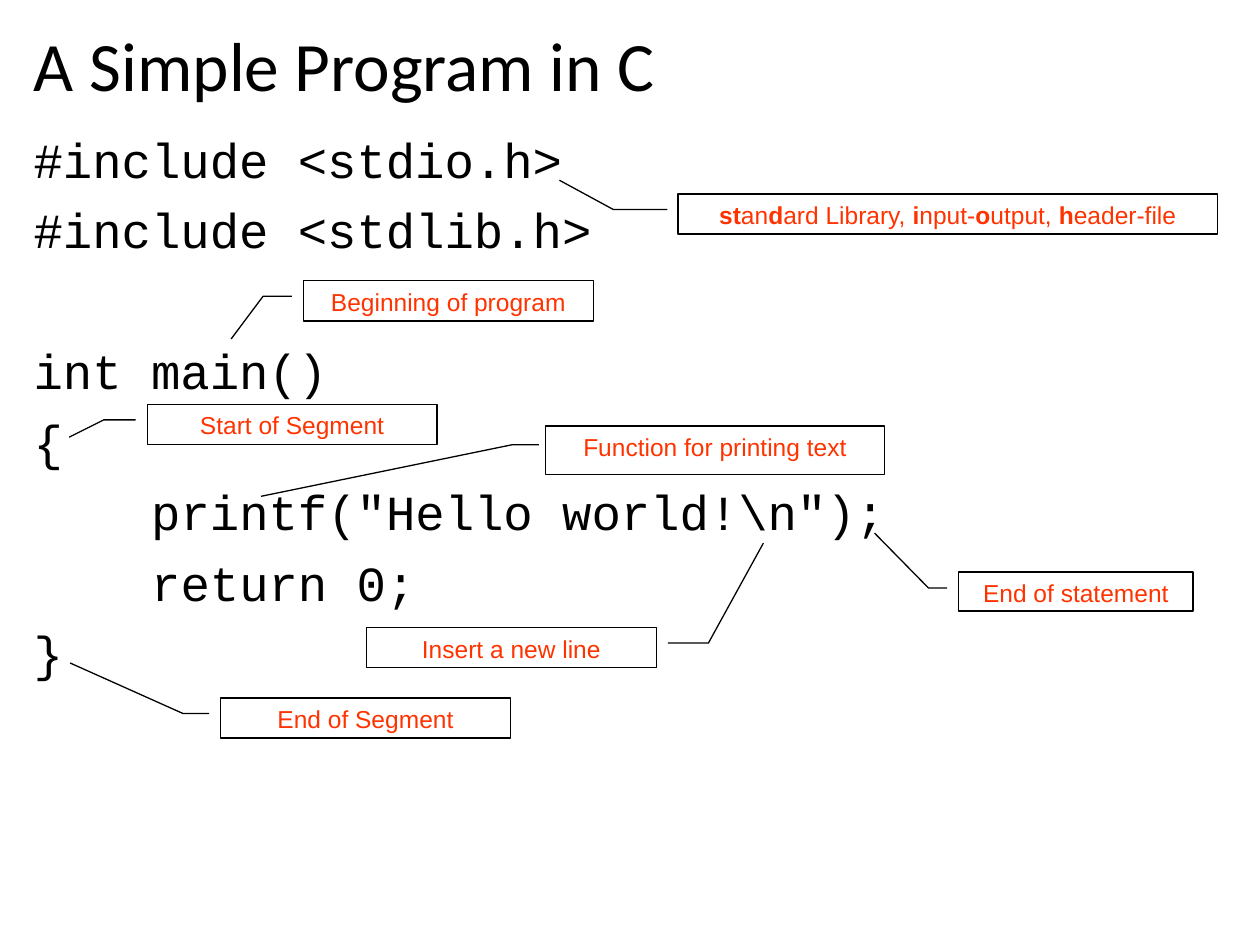
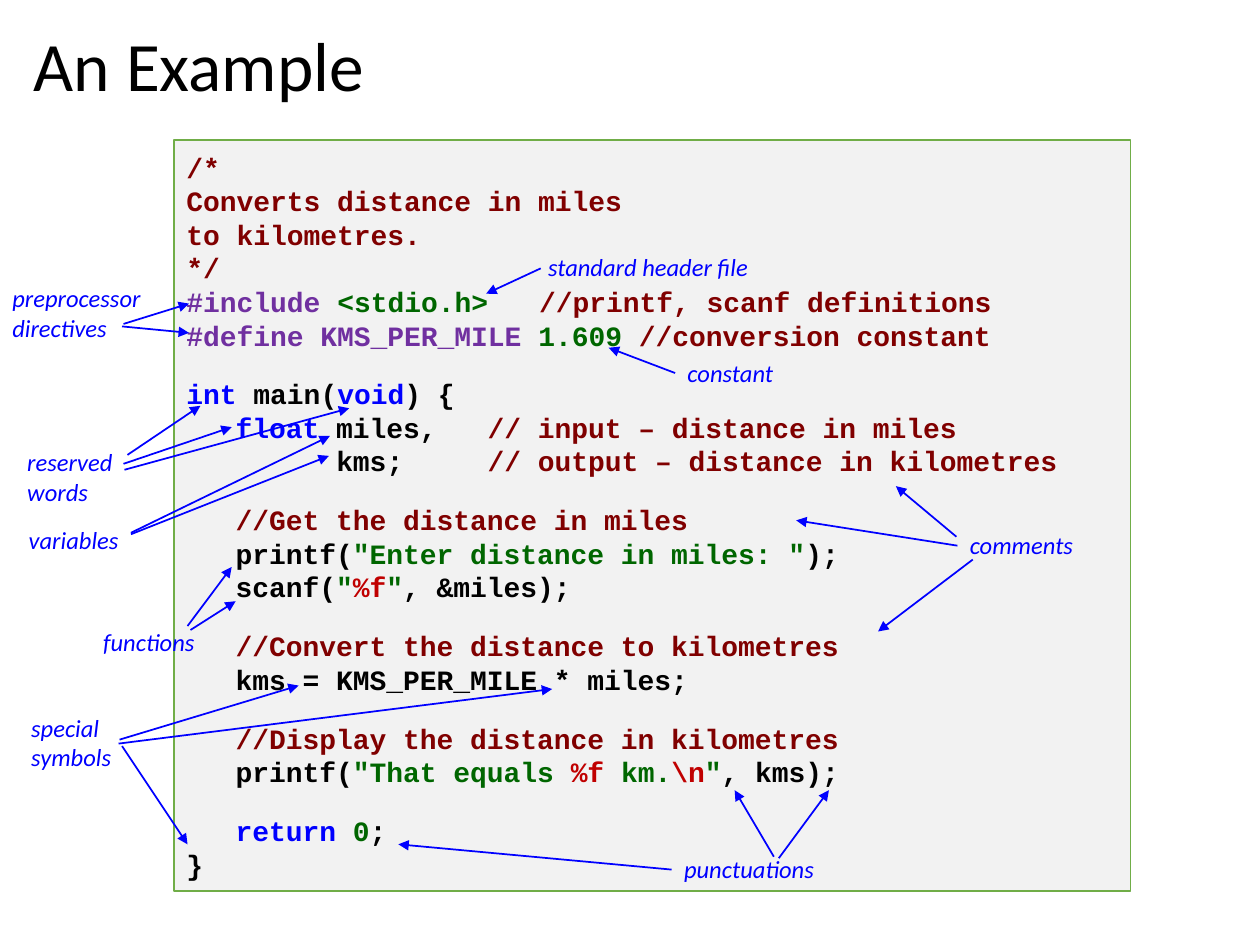
from lxml import etree
from pptx import Presentation
from pptx import util as u
from pptx.dml.color import RGBColor
from pptx.enum import shapes, text
from pptx.oxml.ns import qn

COLOURS = {
    "black": "000000", "callout": "FF3300", "panel": "F2F2F2", "border": "70AD47",
    "comment": "800000", "directive": "7030A0", "literal": "006600",
    "keyword": "0000FF", "escape": "C00000", "label": "0000FF",
}

TITLE_BOX = (0.43, 0.46, 24.43, 1.88)

# Slide 1: code lines with the space before each, in points
SIMPLE_TITLE = "A Simple Program in C"
SIMPLE_BOX = (0.43, 2.62, 24.43, 14.55)
SIMPLE_TABS = [2.37]
SIMPLE_CODE = [
    (10, "#include <stdio.h>"),
    (10, "#include <stdlib.h>"),
    (50.3, "int main()"),
    (10, "{"),
    (10, "\tprintf(\"Hello world!\\n\");"),
    (10, "\treturn 0;"),
    (10, "}"),
]

# Callouts: wording (bold between asterisks), box,
# leader as (y, x) pairs in fractions of the box
CALLOUTS = [
    ("*st*an*d*ard Library, *i*nput-*o*utput, *h*eader-file",
     (13.67, 3.91, 10.87, 0.81), (0.39, -0.02, 0.39, -0.12, -0.34, -0.22)),
    ("Beginning of program",
     (6.12, 5.66, 5.84, 0.81), (0.39, -0.04, 0.39, -0.14, 1.45, -0.25)),
    ("End of Segment",
     (4.45, 14.07, 5.84, 0.81), (0.39, -0.04, 0.39, -0.13, -0.87, -0.52)),
    ("Start of Segment",
     (2.97, 8.15, 5.84, 0.81), (0.39, -0.04, 0.39, -0.15, 0.82, -0.27)),
    ("Function for printing text",
     (11, 8.59, 6.83, 0.97), (0.39, -0.02, 0.39, -0.1, 1.46, -0.84)),
    ("End of statement",
     (19.33, 11.53, 4.72, 0.79), (0.41, -0.05, 0.41, -0.13, -0.99, -0.36)),
    ("Insert a new line",
     (7.39, 12.65, 5.84, 0.81), (0.39, 1.04, 0.39, 1.18, -2.1, 1.37)),
]

# Slide 2: code lines as (space before, runs of (colour, wording))
EXAMPLE_TITLE = "An Example"
EXAMPLE_BOX = (3.51, 2.82, 19.28, 15.14)
EXAMPLE_TABS = [0.99, 3.02, 6.07, 7.11]
GAP = 14.4
EXAMPLE_CODE = [
    (0, [("comment", "/*")]),
    (0, [("comment", "Converts distance in miles")]),
    (0, [("comment", "to kilometres.")]),
    (0, [("comment", "*/")]),
    (0, [("directive", "#include "), ("literal", "<stdio.h>"),
         ("comment", "\t//printf, scanf definitions")]),
    (0, [("directive", "#define KMS_PER_MILE "), ("literal", "1.609 "),
         ("comment", "//conversion constant")]),
    (GAP, [("keyword", "int"), ("black", " main("), ("keyword", "void"), ("black", ") {")]),
    (0, [("keyword", "\tfloat"), ("black", " miles,"),
         ("comment", "\t// input – distance in miles")]),
    (0, [("black", "\t\tkms;"), ("comment", "\t// output – distance in kilometres")]),
    (GAP, [("comment", "\t//Get the distance in miles")]),
    (0, [("black", "\tprintf("), ("literal", "\"Enter distance in miles: \""),
         ("black", ");")]),
    (0, [("black", "\tscanf("), ("literal", "\""), ("escape", "%f"), ("literal", "\""),
         ("black", ", &miles);")]),
    (GAP, [("comment", "\t//Convert the distance to kilometres")]),
    (0, [("black", "\tkms = KMS_PER_MILE * miles;")]),
    (GAP, [("comment", "\t//Display the distance in kilometres")]),
    (0, [("black", "\tprintf("), ("literal", "\"That equals "), ("escape", "%f "),
         ("literal", "km."), ("escape", "\\n"), ("literal", "\""), ("black", ", kms);")]),
    (GAP, [("keyword", "\treturn "), ("literal", "0"), ("black", ";")]),
    (0, [("black", "}")]),
]

# Labels: wording, box, arrows as (from x, from y, to x, to y)
LABELS = [
    ("preprocessor directives", (0, 5.59, 3.4, 1.45),
     [(2.49, 6.53, 3.81, 6.12), (2.46, 6.58, 3.81, 6.71)]),
    ("standard header file", (10.8, 4.95, 4.85, 0.86), [(10.9, 5.41, 9.8, 5.92)]),
    ("comments", (19.3, 10.57, 2.74, 0.86),
     [(19.28, 10.82, 18.06, 9.8), (19.3, 11, 16.05, 10.49), (19.61, 11.28, 17.7, 12.73)]),
    ("constant", (13.61, 7.09, 2.74, 0.86), [(13.61, 7.52, 12.27, 7.01)]),
    ("reserved words", (0.3, 8.89, 2.74, 1.45),
     [(2.57, 9.17, 4.04, 8.18), (2.51, 9.47, 7.04, 8.23), (2.49, 9.35, 4.67, 8.61)]),
    ("variables", (0.33, 10.46, 2.74, 0.86),
     [(2.64, 10.74, 6.65, 8.79), (2.64, 10.77, 6.63, 9.19)]),
    ("functions", (1.83, 12.52, 2.62, 0.86),
     [(3.78, 12.62, 4.67, 11.43), (3.84, 12.7, 4.75, 12.12)]),
    ("special symbols", (0.38, 14.25, 2.46, 1.45),
     [(2.41, 14.91, 6.02, 13.82), (2.39, 14.99, 11.13, 13.89), (2.46, 15.04, 3.78, 17.02)]),
    ("punctuations", (13.54, 17.09, 3.43, 0.86),
     [(15.7, 17.3, 16.71, 15.93), (15.6, 17.27, 14.81, 15.93), (13.54, 17.53, 8.03, 17.02)]),
]


def cm(lengths):
    return [u.Cm(length) for length in lengths]


def colour(name):
    return RGBColor.from_string(COLOURS[name])


def set_font(font, name, size, colour_name=None, bold=None, italic=None):
    font.name, font.size, font.bold, font.italic = name, u.Pt(size), bold, italic
    if colour_name:
        font.color.rgb = colour(colour_name)


def set_line(line, colour_name, width):
    line.color.rgb = colour(colour_name)
    line.width = u.Pt(width)


def add_paragraphs(frame, count):
    for _ in range(count - 1):
        frame.add_paragraph()
    return frame.paragraphs


def add_run(paragraph, wording):
    run = paragraph.add_run()
    run.text = wording
    return run


def set_tabs(paragraph, stops):
    tab_list = etree.SubElement(paragraph._p.get_or_add_pPr(), qn("a:tabLst"))
    for stop in stops:
        etree.SubElement(tab_list, qn("a:tab"), pos=str(u.Cm(stop)), algn="l")


def add_titled_slide(presentation, wording):
    slide = presentation.slides.add_slide(presentation.slide_layouts[5])
    title = slide.shapes.title
    title.left, title.top, title.width, title.height = cm(TITLE_BOX)
    frame = title.text_frame
    frame.text = wording
    frame.auto_size = text.MSO_AUTO_SIZE.NONE
    frame.vertical_anchor = text.MSO_ANCHOR.MIDDLE
    paragraph = frame.paragraphs[0]
    paragraph.alignment = text.PP_ALIGN.LEFT
    paragraph.line_spacing = 0.9
    set_font(paragraph.font, "Calibri", 39.6, "black")
    return slide


def add_callout(slide, wording, box, leader):
    callout = slide.shapes.add_shape(shapes.MSO_SHAPE.LINE_CALLOUT_2, *cm(box))
    callout.shadow.inherit = False
    callout.fill.background()
    set_line(callout.line, "black", 0.75)
    for index, value in enumerate(leader):
        callout.adjustments[index] = value
    frame = callout.text_frame
    frame.vertical_anchor = text.MSO_ANCHOR.TOP
    paragraph = frame.paragraphs[0]
    paragraph.alignment = text.PP_ALIGN.CENTER
    set_font(paragraph.font, "Arial", 14)
    for index, part in enumerate(wording.split("*")):
        if part:
            run = add_run(paragraph, part)
            run.font.bold = index % 2 == 1
            run.font.color.rgb = colour("callout")


def add_label(slide, wording, box, arrows):
    group = slide.shapes.add_group_shape()
    label = group.shapes.add_textbox(*cm(box))
    frame = label.text_frame
    frame.word_wrap = True
    frame.text = wording
    set_font(frame.paragraphs[0].font, "Calibri", 14, "label", italic=True)
    for ends in arrows:
        arrow = group.shapes.add_connector(shapes.MSO_CONNECTOR.STRAIGHT, *cm(ends))
        set_line(arrow.line, "label", 1)
        etree.SubElement(arrow.line._get_or_add_ln(), qn("a:tailEnd"), type="triangle")
        etree.SubElement(arrow._element.spPr, qn("a:effectLst"))


def build_simple_program(presentation):
    slide = add_titled_slide(presentation, SIMPLE_TITLE)
    frame = slide.shapes.add_textbox(*cm(SIMPLE_BOX)).text_frame
    frame.word_wrap = True
    paragraphs = add_paragraphs(frame, len(SIMPLE_CODE))
    for paragraph, (space, wording) in zip(paragraphs, SIMPLE_CODE):
        add_run(paragraph, wording)
        set_tabs(paragraph, SIMPLE_TABS)
        paragraph.line_spacing = 0.9
        paragraph.space_before = u.Pt(space)
        set_font(paragraph.font, "Courier New", 28, "black")
    for callout in CALLOUTS:
        add_callout(slide, *callout)


def build_example(presentation):
    slide = add_titled_slide(presentation, EXAMPLE_TITLE)
    panel = slide.shapes.add_shape(shapes.MSO_SHAPE.RECTANGLE, *cm(EXAMPLE_BOX))
    panel.shadow.inherit = False
    panel.fill.solid()
    panel.fill.fore_color.rgb = colour("panel")
    set_line(panel.line, "border", 1)
    panel.text_frame.vertical_anchor = text.MSO_ANCHOR.MIDDLE
    paragraphs = add_paragraphs(panel.text_frame, len(EXAMPLE_CODE))
    for paragraph, (space, runs) in zip(paragraphs, EXAMPLE_CODE):
        set_tabs(paragraph, EXAMPLE_TABS)
        paragraph.alignment = text.PP_ALIGN.LEFT
        paragraph.space_before = u.Pt(space)
        set_font(paragraph.font, "Courier New", 16, bold=True)
        for colour_name, wording in runs:
            add_run(paragraph, wording).font.color.rgb = colour(colour_name)
    for label in LABELS:
        add_label(slide, *label)


def main():
    presentation = Presentation()
    presentation.slide_width, presentation.slide_height = cm((25.4, 19.05))
    build_simple_program(presentation)
    build_example(presentation)
    presentation.save("out.pptx")


if __name__ == "__main__":
    main()
